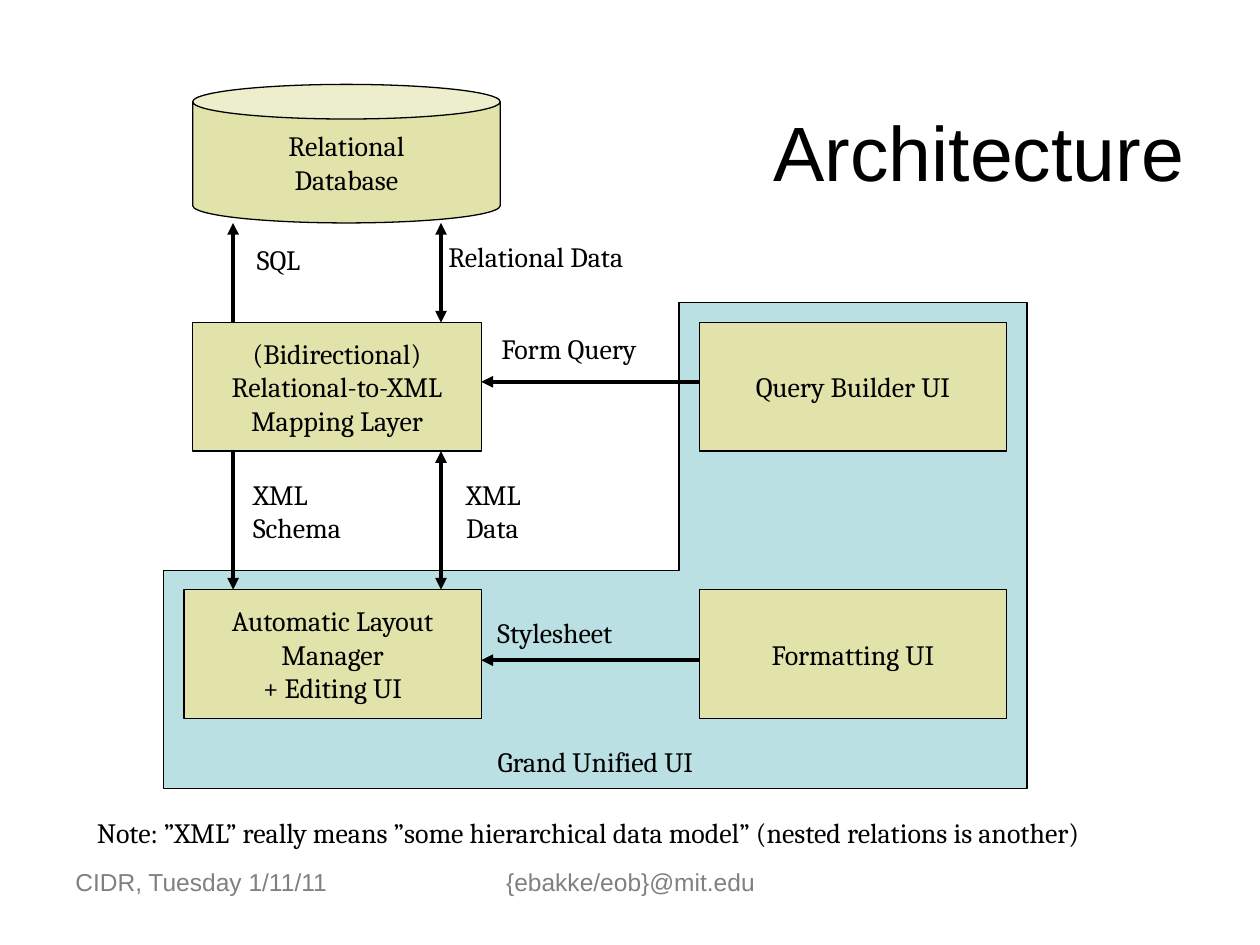
import pptx
import pptx.util
import pptx.dml.color
import pptx.enum.shapes
import pptx.enum.text
import pptx.oxml.ns
import lxml.etree

SHAPE = pptx.enum.shapes.MSO_SHAPE
ALIGN = pptx.enum.text.PP_ALIGN
ANCHOR = pptx.enum.text.MSO_ANCHOR


def color(hex_string):
    return pptx.dml.color.RGBColor.from_string(hex_string)


class Diagram:
    """Draws on one slide; lengths are cells of a 100 by 75 grid."""

    COLUMNS, ROWS = 100, 75
    BLACK, GRAY, BOX, REGION = "000000", "808080", "E1E3AB", "BBE0E3"
    BODY_FONT, HEADING_FONT = "Cambria", "Arial"

    def __init__(self, presentation):
        self.slide = presentation.slides.add_slide(presentation.slide_layouts[6])
        self.cell_width = presentation.slide_width / self.COLUMNS
        self.cell_height = presentation.slide_height / self.ROWS

    def across(self, columns):
        return round(columns * self.cell_width)

    def down(self, rows):
        return round(rows * self.cell_height)

    def place(self, left, top, width, height):
        return (self.across(left), self.down(top),
                self.across(width), self.down(height))

    def set_text(self, shape, text, size=16, font=BODY_FONT, ink=BLACK,
                 align=ALIGN.LEFT, anchor=ANCHOR.TOP, wrap=False):
        frame = shape.text_frame
        frame.text = text
        frame.word_wrap = wrap
        frame.vertical_anchor = anchor
        for paragraph in frame.paragraphs:
            paragraph.alignment = align
            for run in paragraph.runs:
                run.font.size = pptx.util.Pt(size)
                run.font.name = font
                run.font.color.rgb = color(ink)

    def paint(self, shape, fill):
        shape.shadow.inherit = False
        shape.fill.solid()
        shape.fill.fore_color.rgb = color(fill)
        shape.line.color.rgb = color(self.BLACK)
        shape.line.width = pptx.util.Pt(0.75)

    def region(self, corners):
        points = [(self.across(x), self.down(y)) for x, y in corners]
        builder = self.slide.shapes.build_freeform(*points[0])
        builder.add_line_segments(points[1:], close=True)
        self.paint(builder.convert_to_shape(), self.REGION)

    def box(self, text, left, top, width, height, kind=SHAPE.RECTANGLE):
        shape = self.slide.shapes.add_shape(
            kind, *self.place(left, top, width, height))
        self.paint(shape, self.BOX)
        self.set_text(shape, text, align=ALIGN.CENTER, anchor=ANCHOR.MIDDLE)

    def label(self, text, left, top, width, height, **style):
        shape = self.slide.shapes.add_textbox(
            *self.place(left, top, width, height))
        self.set_text(shape, text, **style)

    def arrow(self, start, end, both=False):
        """Points at the end, or at both ends."""
        connector = self.slide.shapes.add_connector(
            pptx.enum.shapes.MSO_CONNECTOR.STRAIGHT,
            self.across(start[0]), self.down(start[1]),
            self.across(end[0]), self.down(end[1]))
        connector.line.color.rgb = color(self.BLACK)
        connector.line.width = pptx.util.Pt(2.25)
        properties = connector._element.spPr
        line = properties.find(pptx.oxml.ns.qn("a:ln"))
        for tag in ("a:headEnd", "a:tailEnd") if both else ("a:tailEnd",):
            lxml.etree.SubElement(line, pptx.oxml.ns.qn(tag), type="triangle")
        lxml.etree.SubElement(properties, pptx.oxml.ns.qn("a:effectLst"))


def main():
    presentation = pptx.Presentation()
    presentation.slide_width = pptx.util.Inches(10)
    presentation.slide_height = pptx.util.Inches(7.5)
    diagram = Diagram(presentation)

    box_height = 10.2
    database_bottom = 17.7
    upper_row, lower_row = 25.6, 46.8
    upper_bottom = upper_row + box_height
    data_left, ui_left, ui_width = 15.3, 55.5, 24.4
    left_boxes_right = 38.2
    request_column, data_column = 18.5, 35
    region_left, region_right = 13, 81.5
    region_top, region_step, region_bottom = 24, 45.3, 62.6
    region_inner = 53.9

    diagram.region([
        (region_left, region_step), (region_inner, region_step),
        (region_inner, region_top), (region_right, region_top),
        (region_right, region_bottom), (region_left, region_bottom)])

    diagram.label("Architecture", 47.6, 6.9, 47.4, 10.1, size=44,
                  font=diagram.HEADING_FONT, align=ALIGN.RIGHT,
                  anchor=ANCHOR.MIDDLE, wrap=True)

    diagram.box("Relational\nDatabase", data_left, 6.7, 24.4, 11, SHAPE.CAN)
    diagram.box("(Bidirectional)\nRelational-to-XML\nMapping Layer",
                data_left, upper_row, 22.9, box_height)
    diagram.box("Automatic Layout\nManager\n+ Editing UI",
                14.6, lower_row, 23.6, box_height)
    for text, top in (("Query Builder UI", upper_row),
                      ("Formatting UI", lower_row)):
        diagram.box(text, ui_left, top, ui_width, box_height)

    diagram.arrow((request_column, upper_row), (request_column, database_bottom))
    diagram.arrow((request_column, upper_bottom), (request_column, lower_row))
    for bottom, top in ((upper_row, database_bottom), (lower_row, upper_bottom)):
        diagram.arrow((data_column, bottom), (data_column, top), both=True)
    for row in (30.3, 52.4):
        diagram.arrow((ui_left, row), (left_boxes_right, row))

    for text, left, top, width, height in (
            ("SQL", 19.4, 18.8, 6.2, 3.7),
            ("Relational Data", 34.6, 18.5, 18.1, 3.7),
            ("Form Query", 38.8, 25.8, 14.8, 3.7),
            ("XML\nSchema", 19.1, 37.4, 10.2, 6.4),
            ("XML\nData", 36, 37.4, 6.9, 6.4),
            ("Stylesheet", 38.5, 48.4, 12.6, 3.7)):
        diagram.label(text, left, top, width, height)
    diagram.label("Grand Unified UI", region_left, 58.6,
                  region_right - region_left, 3.7,
                  align=ALIGN.CENTER, wrap=True)
    diagram.label("Note: ”XML” really means ”some hierarchical data model” "
                  "(nested relations is another)",
                  6.7, 64.2, 88.3, 6.4, wrap=True)

    for text, left, width, align in (
            ("CIDR, Tuesday 1/11/11", 5, 23.3, ALIGN.LEFT),
            ("{ebakke/eob}@mit.edu", 34.2, 31.7, ALIGN.CENTER)):
        diagram.label(text, left, 68.3, width, 5.2, size=14,
                      font=diagram.HEADING_FONT, ink=diagram.GRAY,
                      align=align, wrap=True)

    presentation.save("out.pptx")


if __name__ == "__main__":
    main()
